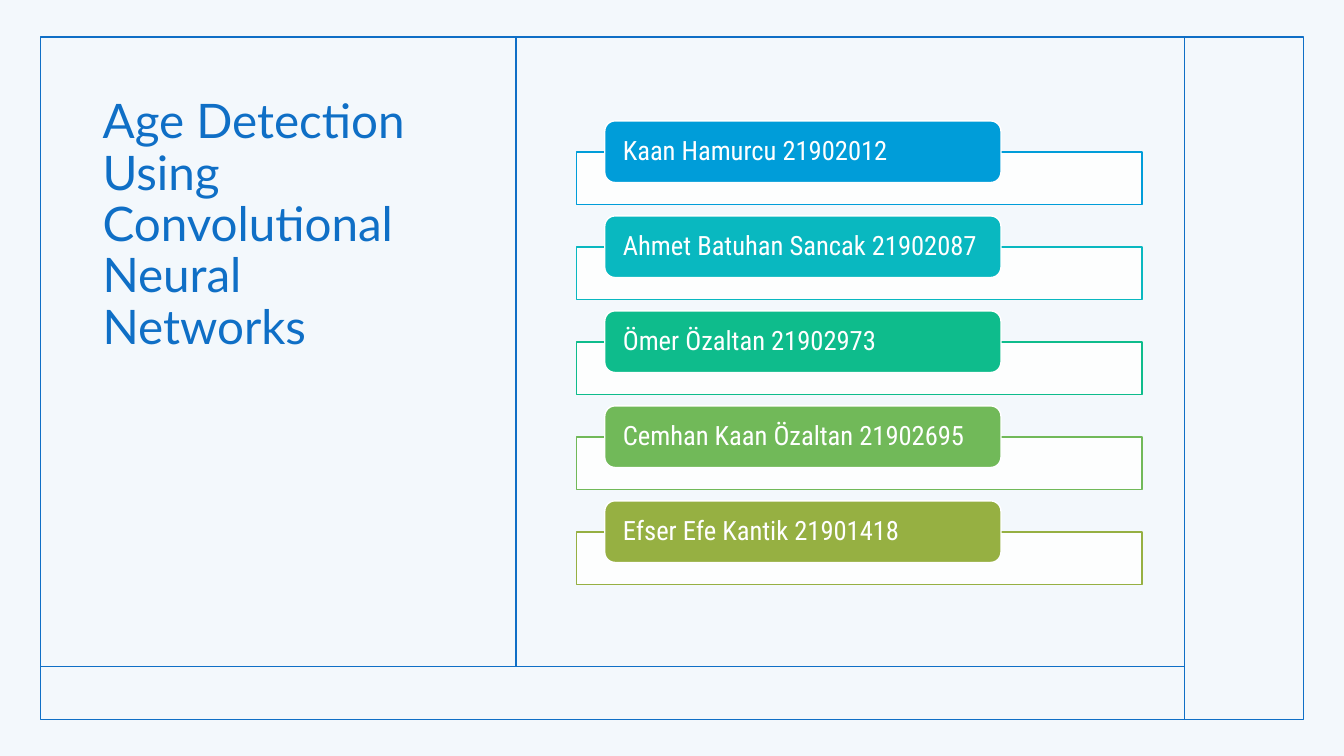
from lxml import etree
from pptx import Presentation
from pptx import util as u
from pptx.dml.color import RGBColor
from pptx.enum import shapes, text
from pptx.oxml import ns

BLUE = RGBColor(0x0F, 0x6F, 0xC6)
PALE_BLUE = RGBColor(0xF3, 0xF8, 0xFC)
WHITE = RGBColor(0xFF, 0xFF, 0xFF)
MEMBERS = [
    ("Kaan Hamurcu 21902012", RGBColor(0x00, 0x9D, 0xD9)),
    ("Ahmet Batuhan Sancak 21902087", RGBColor(0x09, 0xB8, 0xC0)),
    ("Ömer Özaltan 21902973", RGBColor(0x0E, 0xBC, 0x8C)),
    ("Cemhan Kaan Özaltan 21902695", RGBColor(0x71, 0xB9, 0x59)),
    ("Efser Efe Kantik 21901418", RGBColor(0x96, 0xB0, 0x42)),
]
FRAME_LEFT, FRAME_TOP, FRAME_WIDTH, FRAME_HEIGHT = 28.8, 26.6, 902.2, 487.4
TITLE_DIVIDER, RIGHT_DIVIDER, FOOTER_DIVIDER = 368.6, 846, 476
ROW_TOP, ROW_PITCH = 86.4, 67.85


def write_text(shape, words, font, size, color, anchor, side_inset, end_inset):
    frame = shape.text_frame
    frame.word_wrap = True
    frame.vertical_anchor = anchor
    frame.margin_left = frame.margin_right = u.Pt(side_inset)
    frame.margin_top = frame.margin_bottom = u.Pt(end_inset)
    paragraph = frame.paragraphs[0]
    paragraph.alignment = text.PP_ALIGN.LEFT
    paragraph.line_spacing = 0.9
    run = paragraph.add_run()
    run.text = words
    run.font.name = font
    run.font.size = u.Pt(size)
    run.font.color.rgb = color


def add_box(slide, kind, left, top, width, height, fill, line):
    shape = slide.shapes.add_shape(kind, u.Pt(left), u.Pt(top), u.Pt(width), u.Pt(height))
    shape.shadow.inherit = False
    if fill is None:
        shape.fill.background()
    else:
        shape.fill.solid()
        shape.fill.fore_color.rgb = fill
    shape.line.color.rgb = line
    shape.line.width = u.Pt(1)
    return shape


presentation = Presentation()
presentation.slide_width = u.Pt(960)
presentation.slide_height = u.Pt(540)
slide = presentation.slides.add_slide(presentation.slide_layouts[6])
slide.background.fill.solid()
slide.background.fill.fore_color.rgb = PALE_BLUE

add_box(slide, shapes.MSO_SHAPE.RECTANGLE, FRAME_LEFT, FRAME_TOP,
        FRAME_WIDTH, FRAME_HEIGHT, None, BLUE)

title = slide.shapes.add_textbox(u.Pt(66.2), u.Pt(66.2), u.Pt(267), u.Pt(361.5))
write_text(title, "Age Detection Using Convolutional Neural Networks", font="Lato", size=34,
           color=BLUE, anchor=text.MSO_ANCHOR.TOP, side_inset=7.2, end_inset=3.6)

dividers = [
    (TITLE_DIVIDER, FRAME_TOP, TITLE_DIVIDER, FOOTER_DIVIDER),
    (RIGHT_DIVIDER, FRAME_TOP, RIGHT_DIVIDER, FRAME_TOP + FRAME_HEIGHT),
    (FRAME_LEFT, FOOTER_DIVIDER, RIGHT_DIVIDER, FOOTER_DIVIDER),
]
for ends in dividers:
    divider = slide.shapes.add_connector(shapes.MSO_CONNECTOR.STRAIGHT, *map(u.Pt, ends))
    divider.line.color.rgb = BLUE
    divider.line.width = u.Pt(1)
    etree.SubElement(divider.element.spPr, ns.qn("a:effectLst"))

for row, (member, color) in enumerate(MEMBERS):
    top = ROW_TOP + row * ROW_PITCH
    bar = add_box(slide, shapes.MSO_SHAPE.RECTANGLE, 411.8, top + 22.2, 404, 37.6, WHITE, color)
    bar_color = bar.fill._xPr.find(ns.qn("a:solidFill"))[0]
    etree.SubElement(bar_color, ns.qn("a:alpha"), val="90000")
    label = add_box(slide, shapes.MSO_SHAPE.ROUNDED_RECTANGLE, 432, top, 283, 44, color, WHITE)
    write_text(label, member, font="Roboto Condensed", size=19, color=WHITE,
               anchor=text.MSO_ANCHOR.MIDDLE, side_inset=10.8, end_inset=0)

presentation.save("out.pptx")
